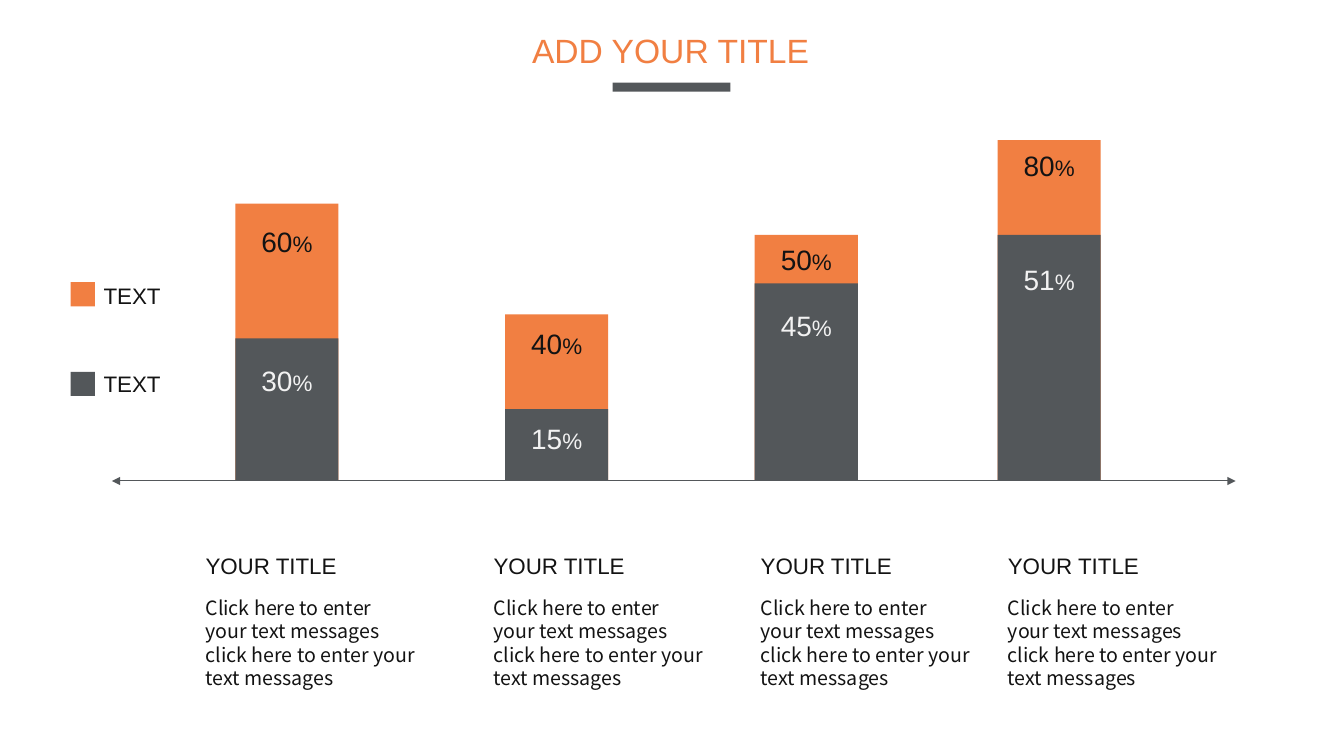
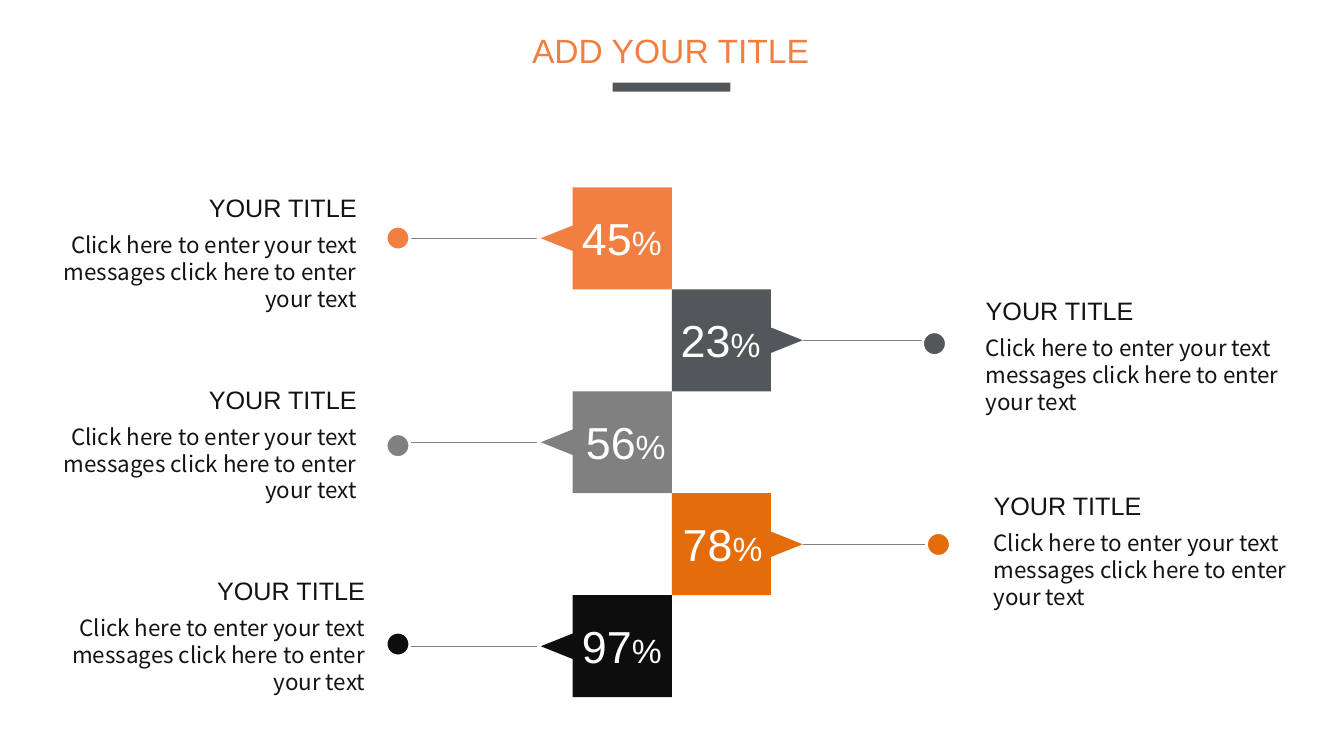
import pptx
import pptx.dml.color
import pptx.enum.shapes
import pptx.enum.text
import pptx.oxml.ns
import pptx.oxml.xmlchemy
import pptx.util

Cm = pptx.util.Cm
Pt = pptx.util.Pt
SHAPE = pptx.enum.shapes.MSO_SHAPE
ALIGN = pptx.enum.text.PP_ALIGN

# Shared style
COLORS = {
    "orange": "F17F42",
    "slate": "53575A",
    "gray": "808080",
    "amber": "E46C0A",
    "black": "0D0D0D",
    "ink": "131313",
    "pale": "F2F2F2",
    "white": "FFFFFF",
}
HEADING_FONT = "Arial"
BODY_FONT = "Noto Sans CJK SC"
BODY_TEXT = "Click here to enter your text messages click here to enter your text"

# Stacked bars: left, orange top, slate top, (label, label top) for each part
BAR_WIDTH = 2.6
AXIS_Y = 12.12
BARS = [
    (5.93, 5.13, 8.53, ("60", 5.54), ("30", 9.04)),
    (12.73, 7.92, 10.31, ("40", 8.1), ("15", 10.49)),
    (19.02, 5.92, 7.14, ("50", 5.99), ("45", 7.65)),
    (25.14, 3.53, 5.92, ("80", 3.61), ("51", 6.5)),
]
BAR_CAPTION_LEFTS = [4.93, 12.19, 18.92, 25.15]

# Staggered squares, alternating left and right of the middle line
MIDDLE_X = 16.93
FIRST_ROW_Y = 4.72
ROW_HEIGHT = 2.57
SQUARE_WIDTH = 2.5
POINTER_LENGTH = 0.8
POINTER_HALF = 0.32
# number, colour, number left, dot centre x and y, caption left and top
CALLOUTS = [
    ("45", "orange", 14.4, (10.03, 6.0), (0.73, 4.72)),
    ("23", "slate", 16.89, (23.55, 8.66), (24.59, 7.32)),
    ("56", "gray", 14.5, (10.03, 11.23), (0.73, 9.55)),
    ("78", "amber", 16.94, (23.65, 13.72), (24.79, 12.24)),
    ("97", "black", 14.4, (10.03, 16.23), (0.94, 14.38)),
]


def rgb(color):
    return pptx.dml.color.RGBColor.from_string(COLORS[color])


def paint(shape, color):
    shape.shadow.inherit = False
    shape.fill.solid()
    shape.fill.fore_color.rgb = rgb(color)
    shape.line.fill.background()


def add_block(slide, left, top, width, height, color, kind=SHAPE.RECTANGLE):
    block = slide.shapes.add_shape(kind, Cm(left), Cm(top), Cm(width), Cm(height))
    paint(block, color)
    return block


def add_text(slide, left, top, width, height, runs, color="ink",
             font=HEADING_FONT, align=ALIGN.LEFT, wrap=True):
    """Write one paragraph; runs is a list of (text, point size)."""
    box = slide.shapes.add_textbox(Cm(left), Cm(top), Cm(width), Cm(height))
    frame = box.text_frame
    frame.word_wrap = wrap
    frame.auto_size = pptx.enum.text.MSO_AUTO_SIZE.SHAPE_TO_FIT_TEXT
    paragraph = frame.paragraphs[0]
    paragraph.alignment = align
    for text, size in runs:
        run = paragraph.add_run()
        run.text = text
        run.font.size = Pt(size)
        run.font.name = font
        run.font.color.rgb = rgb(color)


def add_line(slide, start, end, color, arrows=False):
    line = slide.shapes.add_connector(
        pptx.enum.shapes.MSO_CONNECTOR.STRAIGHT,
        Cm(start[0]), Cm(start[1]), Cm(end[0]), Cm(end[1]))
    line.line.color.rgb = rgb(color)
    line.line.width = Pt(0.75)
    properties = line._element.spPr
    if arrows:
        outline = properties.find(pptx.oxml.ns.qn("a:ln"))
        for tag in ("a:headEnd", "a:tailEnd"):
            arrowhead = pptx.oxml.xmlchemy.OxmlElement(tag)
            arrowhead.set("type", "triangle")
            outline.append(arrowhead)
    properties.append(pptx.oxml.xmlchemy.OxmlElement("a:effectLst"))


def add_caption(slide, left, top, width, drop, body, body_height, body_size,
                align=ALIGN.LEFT):
    """Heading with body text that starts drop below it."""
    add_text(slide, left, top, width, 0.94, [("YOUR TITLE", body_size + 2)],
             align=align)
    add_text(slide, left, top + drop, width, body_height, [(body, body_size)],
             font=BODY_FONT, align=align)


def add_title(slide):
    add_text(slide, 13.16, 0.64, 7.57, 1.27, [("ADD YOUR TITLE", 24)],
             color="orange", wrap=False)
    add_block(slide, 15.44, 2.08, 2.97, 0.23, "slate")


def add_bar(slide, left, orange_top, slate_top, orange_label, slate_label):
    parts = [(orange_top, "orange", orange_label, "ink"),
             (slate_top, "slate", slate_label, "pale")]
    for top, color, (number, label_top), label_color in parts:
        add_block(slide, left, top, BAR_WIDTH, AXIS_Y - top, color)
        add_text(slide, left, label_top, BAR_WIDTH, 1.12,
                 [(number, 20), ("%", 16)], color=label_color,
                 align=ALIGN.CENTER)


def add_pointed_square(slide, row_top, direction, color):
    """Square beside the middle line, its pointer facing direction (-1 or 1)."""
    middle_y = row_top + ROW_HEIGHT / 2
    row_bottom = row_top + ROW_HEIGHT
    outer_x = MIDDLE_X + direction * SQUARE_WIDTH
    tip_x = outer_x + direction * POINTER_LENGTH
    corners = [(MIDDLE_X, row_top), (MIDDLE_X, row_bottom), (outer_x, row_bottom),
               (outer_x, middle_y + POINTER_HALF), (tip_x, middle_y),
               (outer_x, middle_y - POINTER_HALF), (outer_x, row_top)]
    points = [(Cm(x), Cm(y)) for x, y in corners]
    outline = slide.shapes.build_freeform(*points[0])
    outline.add_line_segments(points[1:], close=True)
    paint(outline.convert_to_shape(), color)
    return tip_x, middle_y


def add_callout(slide, row, number, color, number_left, dot_center, caption_at):
    direction = 1 if row % 2 else -1
    row_top = FIRST_ROW_Y + row * ROW_HEIGHT
    tip_x, middle_y = add_pointed_square(slide, row_top, direction, color)
    add_text(slide, number_left, row_top + 0.46, 2.54, 1.63,
             [(number, 32), ("%", 24)], color="white", align=ALIGN.CENTER,
             wrap=False)

    # Leader from the pointer, ending under the dot
    dot_x, dot_y = dot_center
    leader_x = tip_x if direction > 0 else tip_x - 0.1
    add_line(slide, (leader_x, middle_y), (dot_x, middle_y), "gray")
    dot = add_block(slide, dot_x - 0.3, dot_y - 0.3, 0.6, 0.6, color, SHAPE.OVAL)
    dot.line.color.rgb = rgb("white")
    dot.line.width = Pt(2)

    align = ALIGN.LEFT if direction > 0 else ALIGN.RIGHT
    width = 8.36 if direction > 0 else 8.51
    add_caption(slide, *caption_at, width, 0.98, BODY_TEXT, 2.31, 16, align)


def build_bar_slide(slide):
    for bar in BARS:
        add_bar(slide, *bar)
    add_line(slide, (2.82, AXIS_Y), (31.14, AXIS_Y), "slate", arrows=True)
    for left in BAR_CAPTION_LEFTS:
        add_caption(slide, left, 13.79, 5.79, 1.09, BODY_TEXT + " messages",
                    2.64, 14)
    # Legend
    for color, swatch_top, label_top in [("orange", 7.11, 6.99),
                                         ("slate", 9.37, 9.19)]:
        add_block(slide, 1.78, swatch_top, 0.61, 0.61, color)
        add_text(slide, 2.36, label_top, 1.96, 0.94, [("TEXT", 16)], wrap=False)
    add_title(slide)


def build_callout_slide(slide):
    for row, callout in enumerate(CALLOUTS):
        add_callout(slide, row, *callout)
    add_title(slide)


def main():
    deck = pptx.Presentation()
    deck.slide_width = Cm(33.87)
    deck.slide_height = Cm(19.05)
    blank = deck.slide_layouts[6]
    for build in (build_bar_slide, build_callout_slide):
        build(deck.slides.add_slide(blank))
    deck.save("out.pptx")


if __name__ == "__main__":
    main()
